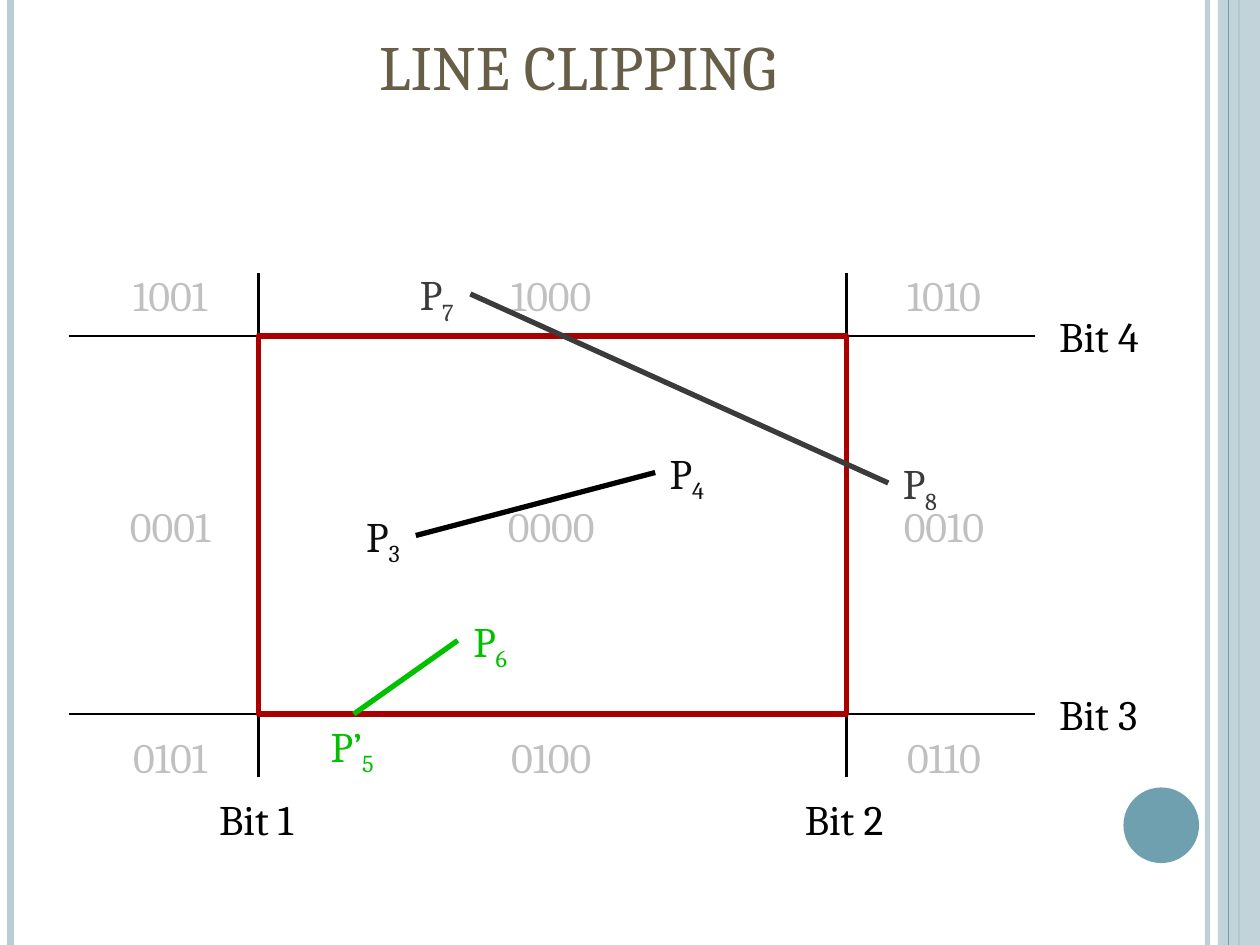
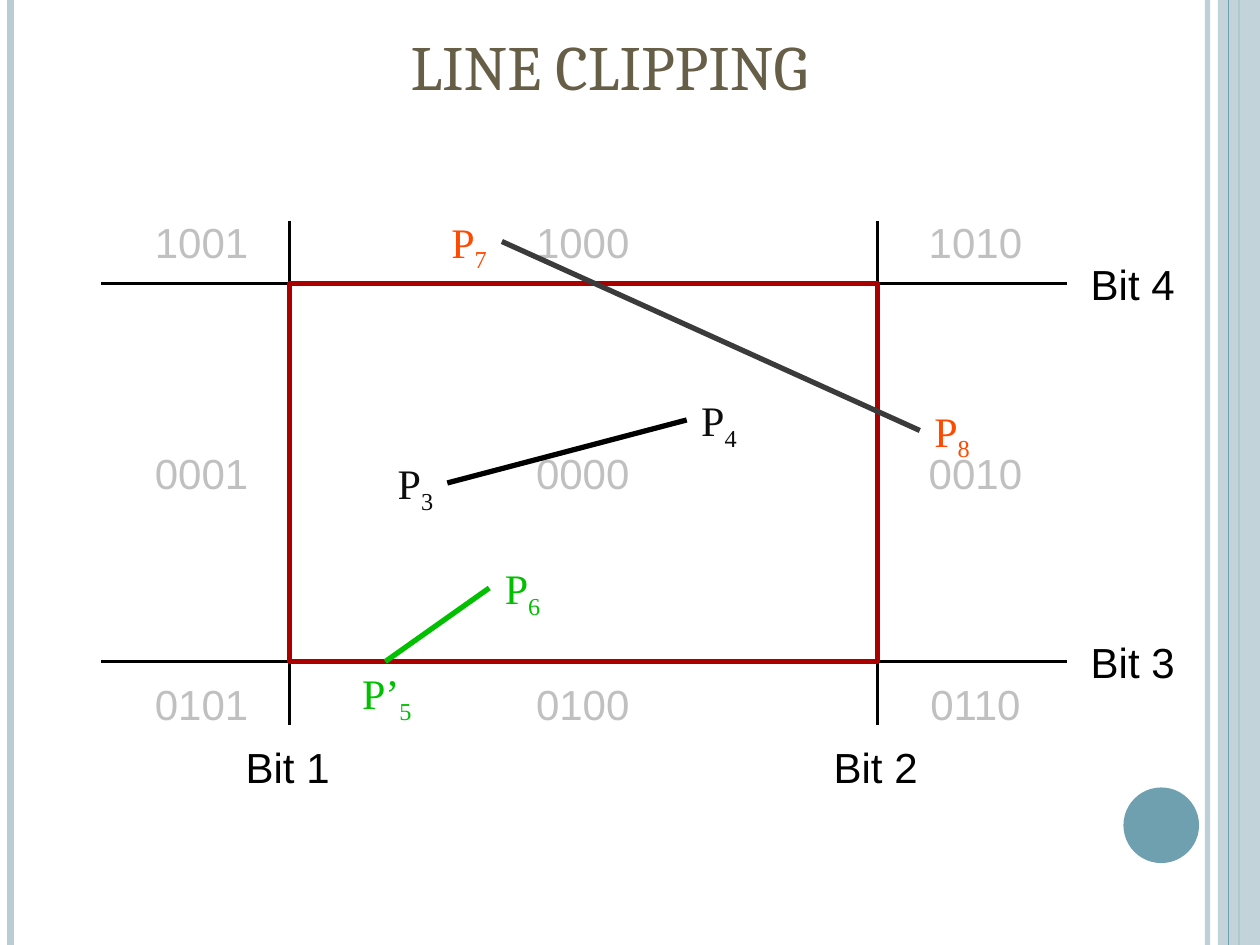
from dataclasses import dataclass
from itertools import product

from lxml.etree import SubElement
from pptx import Presentation
from pptx.dml.color import RGBColor as Color
from pptx.enum.shapes import MSO_CONNECTOR as Connector, MSO_SHAPE as Shape
from pptx.enum.text import MSO_ANCHOR as Anchor, MSO_AUTO_SIZE as AutoSize, PP_ALIGN as Align
from pptx.oxml.ns import qn
from pptx.util import Inches, Pt

COLUMNS, ROWS = 120, 90
WINDOW_WIDTH, WINDOW_HEIGHT = 56, 36
OVERHANG_X, OVERHANG_Y = 18, 6


@dataclass(frozen=True)
class Theme:
    band: str = "BACDD4"
    accent: str = "6EA0B0"
    title: str = "675E47"
    axis: str = "000000"
    window: str = "AA0000"
    code: str = "C0C0C0"
    inside: str = "0D0D0D"
    clipped: str = "00C000"
    crossing: str = "3B3B3B"
    title_font: str = "Cambria"
    title_size: int = 36
    label_size: int = 24
    thin: float = 1.5
    thick: float = 3


@dataclass(frozen=True)
class Diagram:
    left: float
    top: float
    label_font: str
    point_font: str
    crossing_color: str


THEME = Theme()
DIAGRAMS = [
    Diagram(24.6, 32, "Cambria", "Cambria", THEME.crossing),
    Diagram(27.6, 27, "Arial", "Times New Roman", "FF4A01"),
]
CODES = [["1001", "1000", "1010"], ["0001", "0000", "0010"], ["0101", "0100", "0110"]]
CODE_CENTERS = [-8.4, 27.9, 65.3]
CODE_TOPS = [-6, 16, 38]
CODE_WIDTH, BIT_WIDTH = 11.6, 11


class Sketch:
    def __init__(self, theme):
        self.theme = theme
        self.deck = Presentation()
        self.deck.slide_width, self.deck.slide_height = Inches(10), Inches(7.5)
        self.page = None
        self.left = self.top = 0

    def x(self, columns):
        return round(self.deck.slide_width * columns / COLUMNS)

    def y(self, rows):
        return round(self.deck.slide_height * rows / ROWS)

    def place(self, left, top, width, height):
        return (self.x(self.left + left), self.y(self.top + top),
                self.x(width), self.y(height))

    def fade(self, properties, percent):
        color = properties.find(".//" + qn("a:srgbClr"))
        SubElement(color, qn("a:alpha"), val=str(percent * 1000))

    def line(self, start, end, color, width, opacity=100):
        line = self.page.shapes.add_connector(
            Connector.STRAIGHT,
            self.x(self.left + start[0]), self.y(self.top + start[1]),
            self.x(self.left + end[0]), self.y(self.top + end[1]))
        line.line.color.rgb = Color.from_string(color)
        line.line.width = Pt(width)
        properties = line._element.spPr
        if opacity < 100:
            self.fade(properties, opacity)
        SubElement(properties, qn("a:effectLst"))

    def shape(self, kind, area, fill=None, outline=None, opacity=100):
        shape = self.page.shapes.add_shape(kind, *self.place(*area))
        shape.shadow.inherit = False
        if fill:
            shape.fill.solid()
            shape.fill.fore_color.rgb = Color.from_string(fill)
        else:
            shape.fill.background()
        if outline:
            shape.line.color.rgb = Color.from_string(outline)
            shape.line.width = Pt(self.theme.thick)
        else:
            shape.line.fill.background()
        if opacity < 100:
            self.fade(shape._element.spPr, opacity)

    def text(self, words, area, font, color, size=None, align=Align.LEFT,
             subscript="", spacing=None, wrap=False, anchor=Anchor.TOP):
        box = self.page.shapes.add_textbox(*self.place(*area))
        frame = box.text_frame
        frame.text = words
        frame.word_wrap = wrap
        frame.auto_size = AutoSize.NONE if wrap else AutoSize.SHAPE_TO_FIT_TEXT
        frame.vertical_anchor = anchor
        para = frame.paragraphs[0]
        para.alignment = align
        if spacing:
            para.line_spacing = spacing
        if subscript:
            span = para.add_run()
            span.text = subscript
            span._r.get_or_add_rPr().set("baseline", "-25000")
        for span in para.runs:
            span.font.name = font
            span.font.size = Pt(size or self.theme.label_size)
            span.font.color.rgb = Color.from_string(color)

    def start_page(self):
        self.page = self.deck.slides.add_slide(self.deck.slide_layouts[6])
        self.left = self.top = 0
        theme = self.theme
        self.line((115, 0), (115, ROWS), theme.band, 3, opacity=93)
        self.line((1, 0), (1, ROWS), theme.band, 4.5)
        self.line((118, 0), (118, ROWS), theme.accent, 1.5)
        self.shape(Shape.RECTANGLE, (116, 0, 4, ROWS), theme.band, opacity=87)
        self.line((117, 0), (117, ROWS), theme.accent, 0.75)
        self.shape(Shape.OVAL, (107, 75, 7.2, 7.2), theme.accent)

    def title(self, words, left):
        self.text(words, (left, 0, 98, 10.4), self.theme.title_font, self.theme.title,
                  self.theme.title_size, Align.CENTER, wrap=True, anchor=Anchor.BOTTOM)

    def window(self):
        theme = self.theme
        for x in (0, WINDOW_WIDTH):
            self.line((x, -OVERHANG_Y), (x, WINDOW_HEIGHT + OVERHANG_Y), theme.axis, theme.thin)
        for y in (0, WINDOW_HEIGHT):
            self.line((-OVERHANG_X, y), (WINDOW_WIDTH + OVERHANG_X, y), theme.axis, theme.thin)
        self.shape(Shape.RECTANGLE, (0, 0, WINDOW_WIDTH, WINDOW_HEIGHT), outline=theme.window)

    def region_codes(self, diagram):
        for row, column in product(range(3), repeat=2):
            area = (CODE_CENTERS[column] - CODE_WIDTH / 2, CODE_TOPS[row], CODE_WIDTH, 5)
            self.text(CODES[row][column], area, diagram.label_font, self.theme.code,
                      align=Align.CENTER, spacing=0.8)

    def segments(self):
        theme = self.theme
        for start, end, color in [
            ((20.2, -4), (60, 14), theme.crossing),
            ((37.8, 13), (15, 19), theme.axis),
            ((19, 29), (9.1, 36), theme.clipped),
        ]:
            self.line(start, end, color, theme.thick)

    def points(self, diagram):
        theme = self.theme
        for letter, index, left, top, color in [
            ("P", "7", 14.2, -7, diagram.crossing_color),
            ("P", "8", 60.2, 11, diagram.crossing_color),
            ("P", "4", 38, 10, theme.inside),
            ("P", "3", 9.1, 16, theme.inside),
            ("P", "6", 19.3, 26, theme.clipped),
            ("P’", "5", 5.7, 36, theme.clipped),
        ]:
            width = 4.8 + 1.3 * len(letter)
            self.text(letter, (left, top, width, 6.7), diagram.point_font, color, subscript=index)

    def bits(self, diagram):
        below = -0.2 - BIT_WIDTH / 2
        for words, left, top, align in [
            ("Bit 4", 75.1, -3, Align.LEFT),
            ("Bit 3", 75.1, WINDOW_HEIGHT - 3, Align.LEFT),
            ("Bit 2", WINDOW_WIDTH + below, 43, Align.CENTER),
            ("Bit 1", below, 43, Align.CENTER),
        ]:
            self.text(words, (left, top, BIT_WIDTH, 6), diagram.label_font,
                      self.theme.axis, align=align)

    def clipping_page(self, diagram):
        self.start_page()
        self.title("LINE CLIPPING", diagram.left - 18.6)
        self.left, self.top = diagram.left, diagram.top
        self.window()
        self.region_codes(diagram)
        self.segments()
        self.points(diagram)
        self.bits(diagram)


def main():
    sketch = Sketch(THEME)
    for diagram in DIAGRAMS:
        sketch.clipping_page(diagram)
    sketch.deck.save("out.pptx")


if __name__ == "__main__":
    main()
